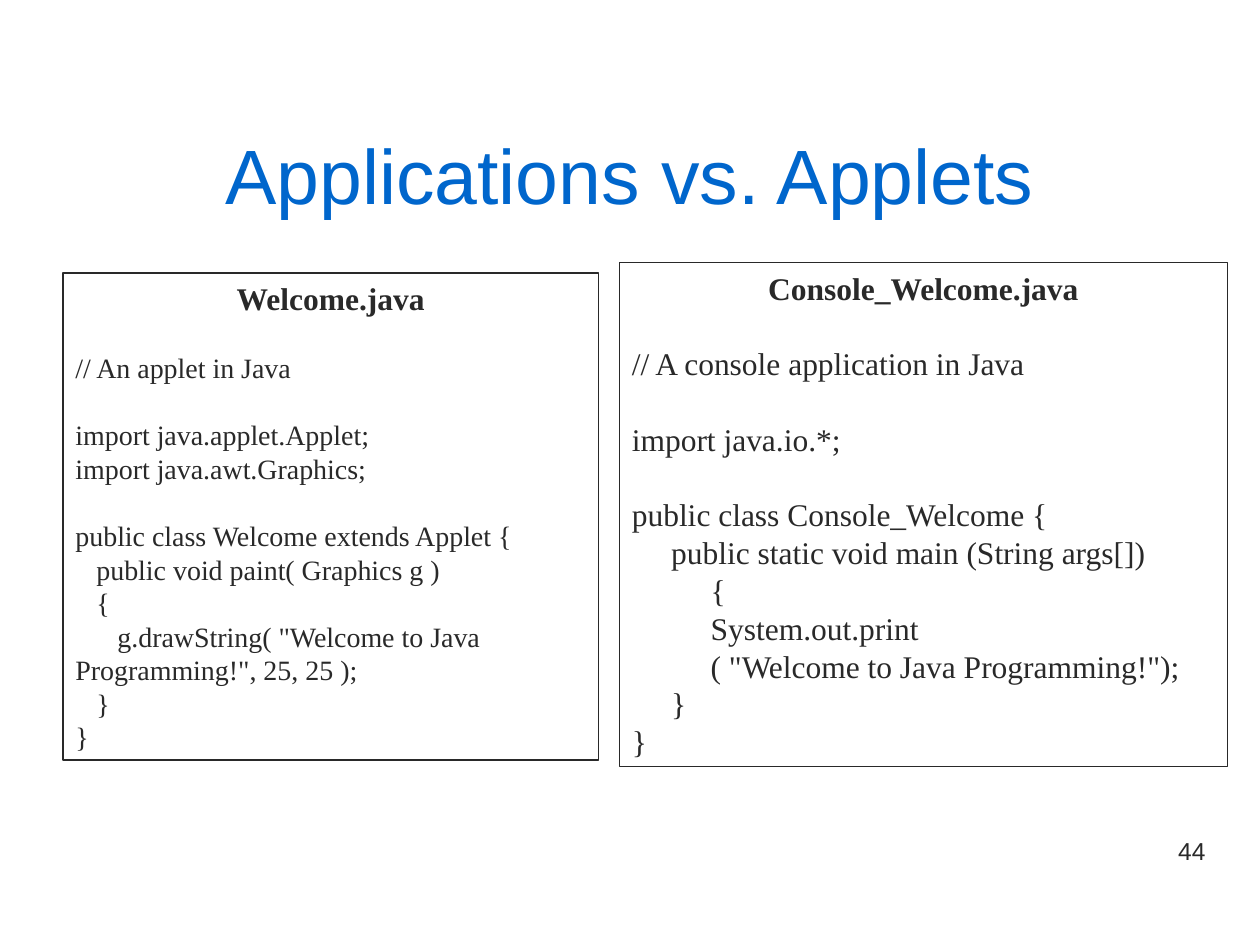
from pptx import Presentation
from pptx.dml.color import RGBColor
from pptx.enum.shapes import MSO_SHAPE
from pptx.enum.text import MSO_ANCHOR, PP_ALIGN
from pptx.util import Inches, Pt

BLUE = RGBColor(0x00, 0x66, 0xCC)
INK = RGBColor(0x29, 0x29, 0x29)
SANS, SERIF = "Arial", "Times New Roman"
CELL = Inches(1) / 12  # grid of 120 columns by 90 rows
LEAD = 1.2  # line pitch per point of text size

# Each code block is a list of (indent level, text); blocks are set apart by a line
APPLET = [
    [(0, "// An applet in Java")],
    [(0, "import java.applet.Applet;"), (0, "import java.awt.Graphics;")],
    [
        (0, "public class Welcome extends Applet {"),
        (1, "public void paint( Graphics g )"),
        (1, "{"),
        (2, 'g.drawString( "Welcome to Java Programming!", 25, 25 );'),
        (1, "}"),
        (0, "}"),
    ],
]
CONSOLE = [
    [(0, "// A console application in Java")],
    [(0, "import java.io.*;")],
    [
        (0, "public class Console_Welcome {"),
        (1, "public static void main (String args[])"),
        (2, "{"),
        (2, "System.out.print"),
        (2, '( "Welcome to Java Programming!");'),
        (1, "}"),
        (0, "}"),
    ],
]


class Deck:
    def __init__(self):
        self.file = Presentation()
        self.file.slide_width, self.file.slide_height = Inches(10), Inches(7.5)
        self.slide = self.file.slides.add_slide(self.file.slide_layouts[5])

    def grid(self, *cells):
        return [round(n * CELL) for n in cells]

    def style(self, para, text, size, face, color, align=PP_ALIGN.LEFT, bold=False):
        para.text, para.alignment = text, align
        font = para.font
        font.size, font.name, font.bold = Pt(size), face, bold
        font.color.rgb = color

    def title(self, text, *cells):
        shape = self.slide.shapes.title
        shape.left, shape.top, shape.width, shape.height = self.grid(*cells)
        shape.text_frame.vertical_anchor = MSO_ANCHOR.MIDDLE
        self.style(shape.text_frame.paragraphs[0], text, 44, SANS, BLUE, PP_ALIGN.CENTER)

    def panel(self, name, blocks, size, step, *cells):
        box = self.slide.shapes.add_shape(MSO_SHAPE.RECTANGLE, *self.grid(*cells))
        box.shadow.inherit = False
        box.fill.background()
        box.line.color.rgb, box.line.width = INK, Pt(0.75)
        frame = box.text_frame
        frame.word_wrap, frame.vertical_anchor = True, MSO_ANCHOR.TOP
        head = frame.paragraphs[0]
        self.style(head, name, 18, SERIF, INK, PP_ALIGN.CENTER, True)
        head.line_spacing = Pt(18 * LEAD)
        for block in blocks:
            for row, (level, text) in enumerate(block):
                para = frame.add_paragraph()
                self.style(para, text, size, SERIF, INK)
                para.line_spacing = Pt(size * LEAD)
                para.space_before = Pt(0 if row else size * LEAD)
                # First-line indent, so that wrapped code returns to the margin
                para._p.get_or_add_pPr().set("indent", str(Pt(level * step)))

    def number(self, text, *cells):
        box = self.slide.shapes.add_textbox(*self.grid(*cells))
        box.text_frame.word_wrap = True
        self.style(box.text_frame.paragraphs[0], text, 14, SANS, INK, PP_ALIGN.RIGHT)


def main():
    deck = Deck()
    # Heading
    deck.title("Applications vs. Applets", 4, 9, 112, 15)
    # Code panels
    deck.panel("Welcome.java", APPLET, 16, 12, 6, 26, 51, 46.4)
    deck.panel("Console_Welcome.java", CONSOLE, 18, 22.5, 59, 25, 57.9, 48)
    # Page number
    deck.number("44", 86, 79, 30, 6.25)
    deck.file.save("out.pptx")


if __name__ == "__main__":
    main()
